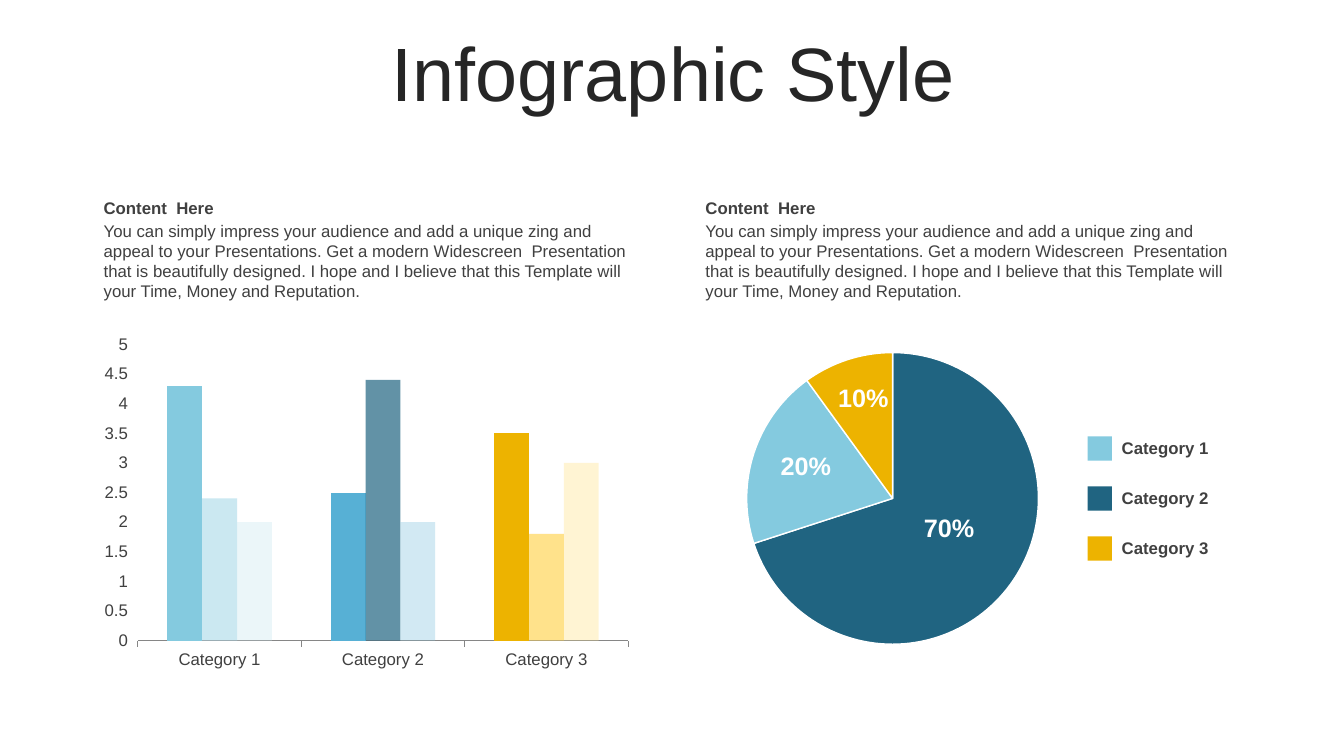
from lxml import etree
from pptx import Presentation
from pptx import util as u
from pptx.chart import data as chart_data
from pptx.dml.color import RGBColor
from pptx.enum import chart as chart_enum, shapes, text
from pptx.oxml import ns

WIDTH, HEIGHT = u.Inches(13.33), u.Inches(7.5)
COLUMN, ROW = WIDTH / 160, HEIGHT / 90

INK = RGBColor(0x26, 0x26, 0x26)
GREY = RGBColor(0x40, 0x40, 0x40)
AXIS_GREY = RGBColor(0x86, 0x86, 0x86)
WHITE = RGBColor(0xFF, 0xFF, 0xFF)
SKY = RGBColor(0x84, 0xCA, 0xDF)
BLUE = RGBColor(0x57, 0xB0, 0xD5)
NAVY = RGBColor(0x20, 0x64, 0x81)
GOLD = RGBColor(0xED, 0xB3, 0x00)
PALE_SKY = RGBColor(0xB5, 0xDF, 0xEC)
PALE_GOLD = RGBColor(0xFF, 0xD7, 0x5B)
MIST = RGBColor(0xCE, 0xEA, 0xF2)
LIGHT_BLUE = RGBColor(0x8F, 0xCA, 0xE3)
CREAM = RGBColor(0xFF, 0xE4, 0x92)

TITLE = {"name": "Arial", "size": u.Pt(54), "bold": False}
BODY = {"name": "Arial", "size": u.Pt(12), "bold": False}
STRONG = {"name": "Arial", "size": u.Pt(12), "bold": True}
SHARE = {"name": "Arial", "size": u.Pt(18), "bold": True}

CATEGORIES = ["Category 1", "Category 2", "Category 3"]
COLUMN_SERIES = [
    ("Series 1", (4.3, 2.5, 3.5), (SKY, BLUE, GOLD), 100),
    ("Series 2", (2.4, 4.4, 1.8), (PALE_SKY, NAVY, PALE_GOLD), 70),
    ("Series 3", (2, 2, 3), (MIST, LIGHT_BLUE, CREAM), 40),
]
PIE_SLICES = [
    (70, NAVY, 108.36, 60.36),
    (20, SKY, 91.32, 53.04),
    (10, GOLD, 98.16, 44.88),
]
LEGEND_COLORS = [SKY, NAVY, GOLD]
PANEL_LEFTS = [11.16, 82.8]
HEADING = "Content  Here"
DESCRIPTION = (
    "You can simply impress your audience and add a unique zing and appeal to your "
    "Presentations. Get a modern Widescreen  Presentation that is beautifully designed. "
    "I hope and I believe that this Template will your Time, Money and Reputation."
)


def grid(left, top, width, height):
    return [u.Emu(round(cells * unit))
            for cells, unit in zip((left, top, width, height), (COLUMN, ROW) * 2)]


def set_format(font, values, color):
    for name, value in values.items():
        setattr(font, name, value)
    font.color.rgb = color


def write(shape, wording, values, color, align=text.PP_ALIGN.LEFT,
          anchor=text.MSO_ANCHOR.MIDDLE):
    frame = shape.text_frame
    frame.word_wrap = True
    frame.auto_size = text.MSO_AUTO_SIZE.NONE
    frame.vertical_anchor = anchor
    paragraph = frame.paragraphs[0]
    paragraph.alignment = align
    run = paragraph.add_run()
    run.text = wording
    set_format(run.font, values, color)
    return paragraph


def add_text(slide, place, *args, **options):
    write(slide.shapes.add_textbox(*grid(*place)), *args, **options)


def add_title(slide, wording):
    title = slide.shapes.title
    for name, value in zip(("left", "top", "width", "height"),
                           grid(4.2, 4.44, 151.92, 9.48)):
        setattr(title, name, value)
    paragraph = write(title, wording, TITLE, INK, text.PP_ALIGN.CENTER)
    paragraph.line_spacing = 0.9


def add_panel_text(slide, left):
    add_text(slide, (left, 22.92, 66.12, 3.6), HEADING, STRONG, GREY)
    add_text(slide, (left, 25.68, 65.64, 10.92), DESCRIPTION, BODY, GREY,
             anchor=text.MSO_ANCHOR.TOP)


def add_chart(slide, kind, place, categories, series):
    data = chart_data.CategoryChartData()
    data.categories = categories
    for name, values in series:
        data.add_series(name, values)
    chart = slide.shapes.add_chart(kind, *grid(*place), data).chart
    chart.has_title = chart.has_legend = False
    set_format(chart.font, BODY, GREY)
    return chart


def color_point(point, color, opacity=100):
    fill = point.format.fill
    fill.solid()
    fill.fore_color.rgb = color
    if opacity < 100:
        tone = point.format.fill._xPr.find(".//" + ns.qn("a:srgbClr"))
        etree.SubElement(tone, ns.qn("a:alpha"), val=str(opacity * 1000))


def add_column_chart(slide):
    chart = add_chart(slide, chart_enum.XL_CHART_TYPE.COLUMN_CLUSTERED,
                      (11.16, 39.12, 64.92, 41.28), CATEGORIES,
                      [row[:2] for row in COLUMN_SERIES])
    plot = chart.plots[0]
    plot.gap_width = 170
    plot.vary_by_categories = False
    for series, (_, _, colors, opacity) in zip(plot.series, COLUMN_SERIES):
        series.invert_if_negative = False
        for index, color in enumerate(colors):
            color_point(series.points[index], color, opacity)
    for axis in (chart.category_axis, chart.value_axis):
        axis.has_major_gridlines = False
        axis.major_tick_mark = chart_enum.XL_TICK_MARK.OUTSIDE
        set_format(axis.tick_labels.font, BODY, GREY)
    line = chart.category_axis.format.line
    line.color.rgb = AXIS_GREY
    line.width = u.Pt(0.75)
    value_axis = chart.value_axis
    value_axis.format.line.fill.background()
    scale = {"minimum_scale": 0, "maximum_scale": 5, "major_unit": 0.5}
    for name, value in scale.items():
        setattr(value_axis, name, value)


def add_pie_chart(slide):
    chart = add_chart(slide, chart_enum.XL_CHART_TYPE.PIE,
                      (87.24, 40.32, 38.04, 38.04), ["1", "2", "3"],
                      [("Series 1", [row[0] for row in PIE_SLICES])])
    plot = chart.plots[0]
    plot.vary_by_categories = True
    for index, (value, color, left, top) in enumerate(PIE_SLICES):
        point = plot.series[0].points[index]
        color_point(point, color)
        point.format.line.color.rgb = WHITE
        point.format.line.width = u.Pt(1)
        add_text(slide, (left, top, 9.24, 4.8), f"{value}%", SHARE, WHITE,
                 text.PP_ALIGN.CENTER)


def add_legend(slide):
    for index, (label, color) in enumerate(zip(CATEGORIES, LEGEND_COLORS)):
        top = 51.48 + 5.95 * index
        swatch = slide.shapes.add_shape(shapes.MSO_SHAPE.RECTANGLE,
                                        *grid(129.48, top + 0.48, 2.88, 2.88))
        swatch.shadow.inherit = False
        swatch.fill.solid()
        swatch.fill.fore_color.rgb = color
        swatch.line.fill.background()
        add_text(slide, (132.36, top, 13.08, 3.6), label, STRONG, GREY)


def main():
    presentation = Presentation()
    presentation.slide_width, presentation.slide_height = WIDTH, HEIGHT
    slide = presentation.slides.add_slide(presentation.slide_layouts[5])
    add_title(slide, "Infographic Style")
    for left in PANEL_LEFTS:
        add_panel_text(slide, left)
    add_column_chart(slide)
    add_pie_chart(slide)
    add_legend(slide)
    presentation.save("out.pptx")


if __name__ == "__main__":
    main()
